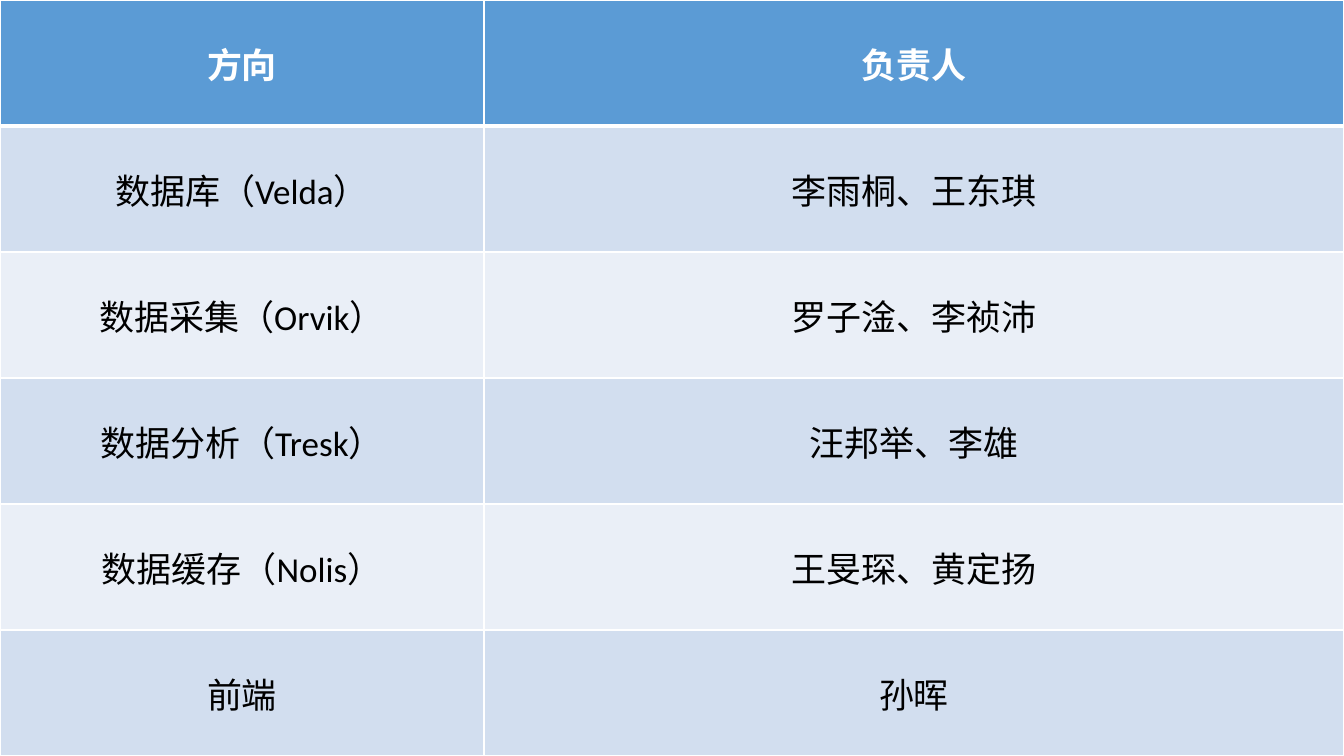
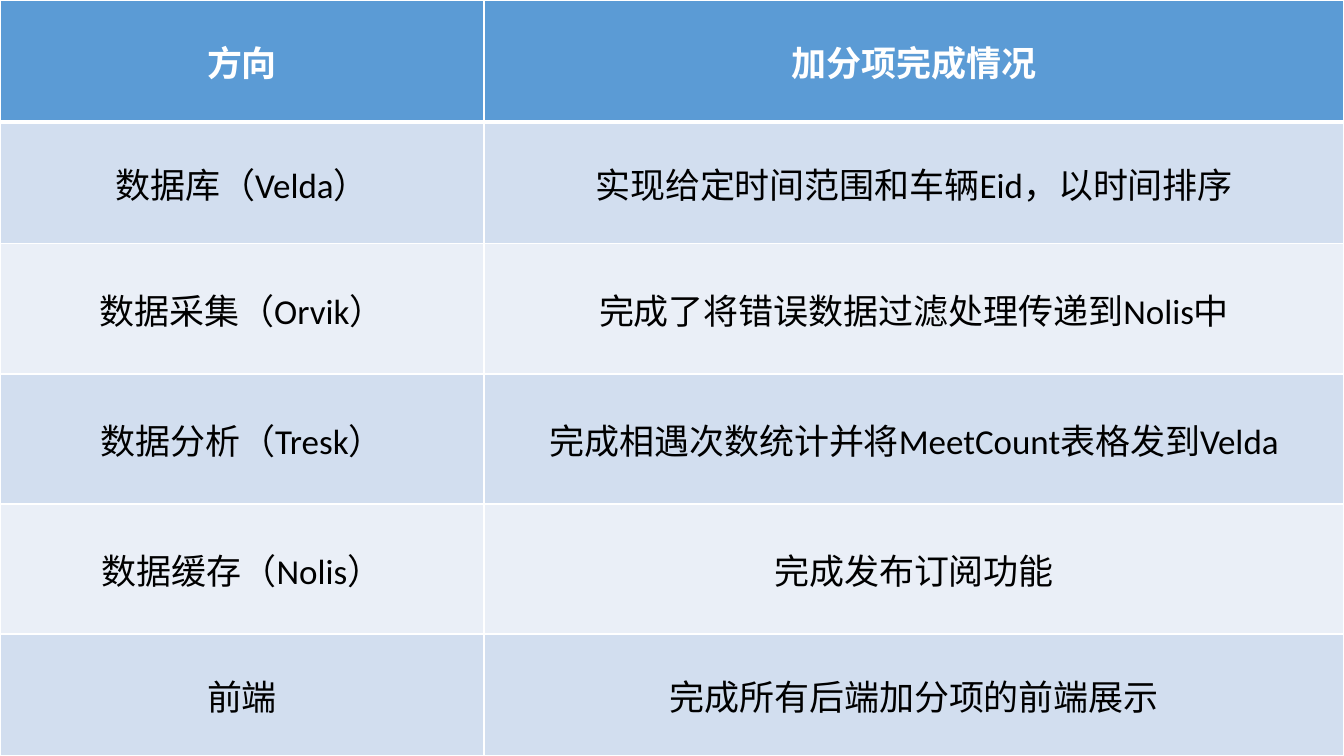
from dataclasses import dataclass

from lxml import etree
from pptx import Presentation
from pptx import util as u
from pptx.dml.color import RGBColor
from pptx.enum import text
from pptx.oxml import ns


@dataclass(frozen=True)
class Theme:
    font: str = "Calibri"
    size: int = 25
    header: str = "5B9BD5"
    bands: tuple = ("D2DEEF", "EAEFF7")
    header_text: str = "FFFFFF"
    body_text: str = "000000"
    rule: str = "FFFFFF"
    thin: int = 1
    thick: int = 3


THEME = Theme()
WIDTH, HEIGHT = 13.33, 7.5
TOPIC_WIDTH = 4.8
TOPICS = ["数据库（Velda）", "数据采集（Orvik）", "数据分析（Tresk）", "数据缓存（Nolis）", "前端"]

TABLES = [
    {
        "heading": "负责人",
        "entries": ["李雨桐、王东琪", "罗子淦、李祯沛", "汪邦举、李雄", "王旻琛、黄定扬", "孙晖"],
        "heights": [1.25] * 6,
    },
    {
        "heading": "加分项完成情况",
        "entries": [
            "实现给定时间范围和车辆Eid，以时间排序",
            "完成了将错误数据过滤处理传递到Nolis中",
            "完成相遇次数统计并将MeetCount表格发到Velda",
            "完成发布订阅功能",
            "完成所有后端加分项的前端展示",
        ],
        "heights": [1.21, 1.21, 1.29, 1.29, 1.29, 1.21],
    },
]


def set_values(target, values):
    for name, value in values.items():
        setattr(target, name, value)


def draw_borders(cell, widths):
    properties = cell._tc.get_or_add_tcPr()
    for side, points in widths.items():
        line = etree.SubElement(properties, ns.qn(f"a:ln{side}"), w=str(u.Pt(points)))
        fill = etree.SubElement(line, ns.qn("a:solidFill"))
        etree.SubElement(fill, ns.qn("a:srgbClr"), val=THEME.rule)


def format_cell(cell, wording, row):
    is_header = row == 0
    draw_borders(cell, {
        "L": THEME.thin,
        "R": THEME.thin,
        "T": THEME.thick if row == 1 else THEME.thin,
        "B": THEME.thick if is_header else THEME.thin,
    })
    cell.fill.solid()
    color = THEME.header if is_header else THEME.bands[(row - 1) % 2]
    cell.fill.fore_color.rgb = RGBColor.from_string(color)
    cell.vertical_anchor = text.MSO_ANCHOR.MIDDLE
    para = cell.text_frame.paragraphs[0]
    para.alignment = text.PP_ALIGN.CENTER
    span = para.add_run()
    span.text = wording
    set_values(span.font, {"name": THEME.font, "size": u.Pt(THEME.size), "bold": is_header})
    ink = THEME.header_text if is_header else THEME.body_text
    span.font.color.rgb = RGBColor.from_string(ink)


def add_topic_table(page, box, heading, entries, heights):
    rows = [("方向", heading), *zip(TOPICS, entries)]
    frame = page.shapes.add_table(len(rows), 2, *map(u.Inches, box))
    table = frame.table
    for column, width in zip(table.columns, (TOPIC_WIDTH, box[2] - TOPIC_WIDTH)):
        column.width = u.Inches(width)
    for row, (wordings, height) in enumerate(zip(rows, heights)):
        table.rows[row].height = u.Inches(height)
        for column, wording in enumerate(wordings):
            format_cell(table.cell(row, column), wording, row)


deck = Presentation()
set_values(deck, {"slide_width": u.Inches(WIDTH), "slide_height": u.Inches(HEIGHT)})
blank = deck.slide_layouts[6]
for content in TABLES:
    add_topic_table(deck.slides.add_slide(blank), (0, 0, WIDTH, HEIGHT), **content)
deck.save("out.pptx")
